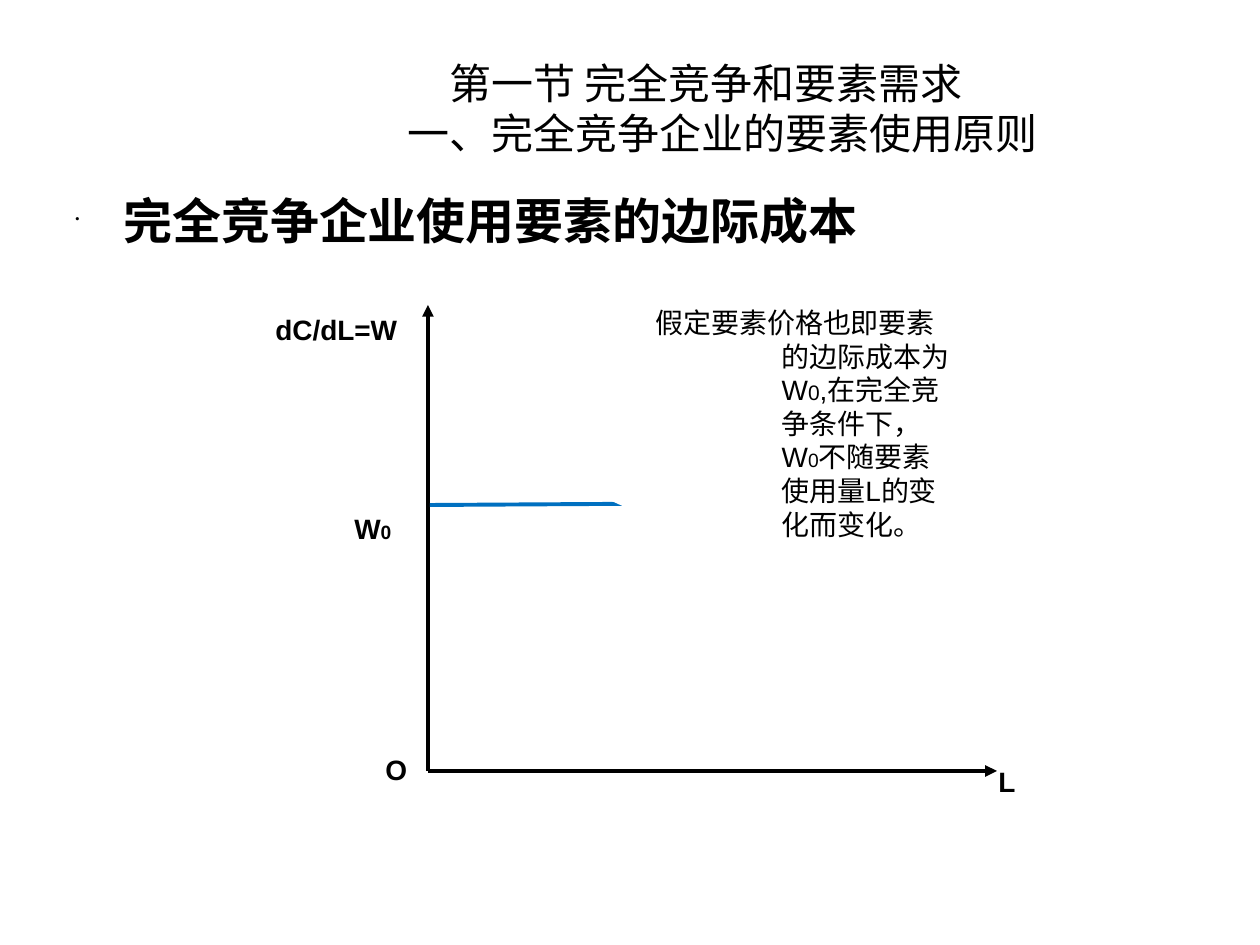
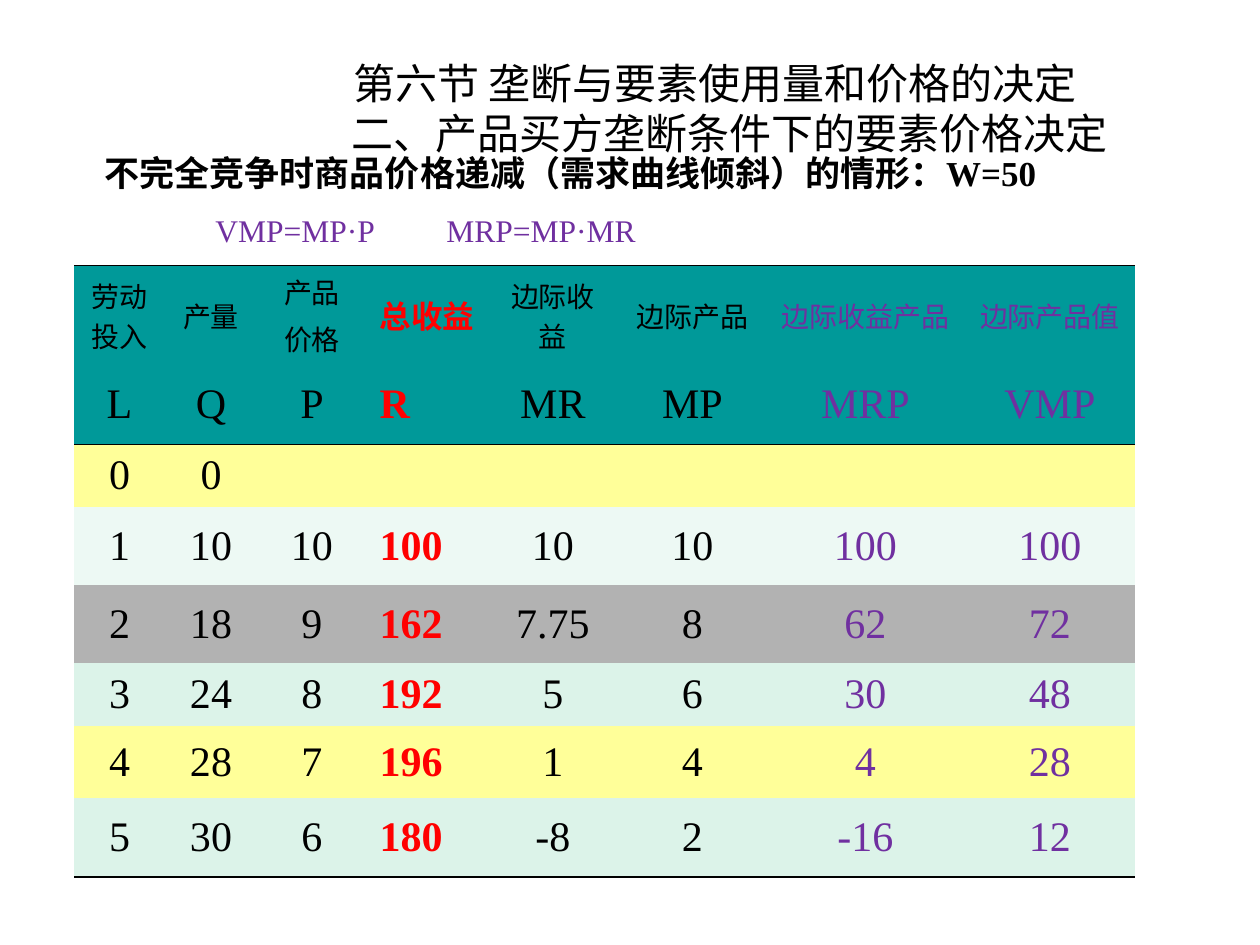
from lxml.etree import SubElement
from pptx import Presentation
from pptx.dml.color import RGBColor
from pptx.enum.shapes import MSO_CONNECTOR as CONNECTOR, MSO_SHAPE as SHAPE
from pptx.enum.text import MSO_ANCHOR as ANCHOR, PP_ALIGN as ALIGN
from pptx.oxml import parse_xml
from pptx.oxml.ns import nsdecls, qn
from pptx.util import Pt

PX = 914400 / 126
BLACK = RGBColor(0x00, 0x00, 0x00)
WHITE = RGBColor(0xFF, 0xFF, 0xFF)
BLUE = RGBColor(0x00, 0x70, 0xC0)
RED = RGBColor(0xFF, 0x00, 0x00)
PURPLE = RGBColor(0x70, 0x30, 0xA0)
TEAL = RGBColor(0x00, 0x99, 0x99)
YELLOW = RGBColor(0xFF, 0xFF, 0x99)
PALE_MINT = RGBColor(0xED, 0xF9, 0xF4)
MINT = RGBColor(0xDC, 0xF3, 0xE9)
GREY = RGBColor(0xB2, 0xB2, 0xB2)
SANS, SERIF, CJK = "Arial", "Times New Roman", "Noto Sans CJK SC"
NO_STYLE = "{2D5ABB26-0587-4C30-8999-92F81FD0307C}"


def px(*lengths):
    return [round(length * PX) for length in lengths]


def write(paragraph, runs, east_asian=None, **font_format):
    for words, size in runs:
        run = paragraph.add_run()
        run.text = words
        run.font.size = Pt(size)
        for key, value in font_format.items():
            if key == "color":
                run.font.color.rgb = value
            else:
                setattr(run.font, key, value)
        if east_asian:
            SubElement(run.font._element, qn("a:ea"), typeface=east_asian)


deck = Presentation()
deck.slide_width, deck.slide_height = px(1260, 945)
cost_slide, monopoly_slide = [deck.slides.add_slide(deck.slide_layouts[6]) for _ in range(2)]

titles = [
    (cost_slide, [("第一节 完全竞争和要素需求", 374), ("一、完全竞争企业的要素使用原则", 332)]),
    (monopoly_slide, [("第六节 垄断与要素使用量和价格的决定", 278),
                      ("二、产品买方垄断条件下的要素价格决定", 276)]),
]
for slide, lines in titles:
    title = slide.shapes.add_textbox(*px(63, 49, 1134, 118)).text_frame
    title.word_wrap = True
    title.vertical_anchor = ANCHOR.MIDDLE
    for index, (words, indent) in enumerate(lines):
        paragraph = title.add_paragraph() if index else title.paragraphs[0]
        paragraph.line_spacing = Pt(28.5)
        paragraph._p.get_or_add_pPr().set("marL", str(px(indent)[0]))
        write(paragraph, [(words, 24)], CJK, name=CJK, color=BLACK)

heading = cost_slide.shapes.add_textbox(*px(63, 185, 1134, 659)).text_frame
heading.word_wrap = True
heading_line = heading.paragraphs[0]
heading_line.line_spacing = Pt(33.5)
write(heading_line, [("完全竞争企业使用要素的边际成本", 28)], name=SANS, bold=True, color=BLACK)
bullet = heading_line._p.get_or_add_pPr()
bullet.set("marL", str(px(48)[0]))
bullet.set("indent", str(px(-48)[0]))
SubElement(SubElement(bullet, qn("a:buClr")), qn("a:srgbClr"), val=str(BLACK))
SubElement(bullet, qn("a:buSzPct"), val="25000")
SubElement(bullet, qn("a:buChar"), char="•")

for ends, color, has_arrow in [
    ((428, 771, 428, 305), BLACK, True),
    ((428, 771, 997, 771), BLACK, True),
    ((430, 505, 935, 502), BLUE, False),
]:
    line = cost_slide.shapes.add_connector(CONNECTOR.STRAIGHT, *px(*ends))
    line.line.color.rgb = color
    line.line.width = Pt(2.25)
    if has_arrow:
        SubElement(line.line._get_or_add_ln(), qn("a:tailEnd"), type="triangle")
    SubElement(line._element.spPr, qn("a:effectLst"))

labels = [
    (cost_slide, (263, 306, 200, 47), [("dC/dL=W", 16)], SANS, BLACK, True),
    (cost_slide, (373, 746, 48, 47), [("O", 16)], SANS, BLACK, True),
    (cost_slide, (986, 758, 48, 47), [("L", 16)], SANS, BLACK, True),
    (cost_slide, (342, 505, 87, 47), [("W", 16), ("0", 11)], SANS, BLACK, True),
    (monopoly_slide, (434, 205, 466, 50), [("MRP=MP·MR", 18)], SERIF, PURPLE, False),
    (monopoly_slide, (203, 205, 208, 50), [("VMP=MP·P", 18)], SERIF, PURPLE, False),
]
for slide, box, runs, face, color, bold in labels:
    label = slide.shapes.add_textbox(*px(*box)).text_frame
    label.word_wrap = True
    write(label.paragraphs[0], runs, name=face, color=color, bold=bold)

callout = cost_slide.shapes.add_shape(SHAPE.ROUNDED_RECTANGULAR_CALLOUT, *px(630, 286, 354, 268))
for index, value in enumerate((-0.64, 0.25, 0.17)):
    callout.adjustments[index] = value
callout.shadow.inherit = False
callout.fill.solid()
callout.fill.fore_color.rgb = WHITE
callout.line.fill.background()
callout.text_frame.word_wrap = True
callout.text_frame.vertical_anchor = ANCHOR.TOP
note = callout.text_frame.paragraphs[0]
note.alignment = ALIGN.LEFT
note.line_spacing = Pt(19.2)
hanging = note._p.get_or_add_pPr()
hanging.set("marL", str(px(126)[0]))
hanging.set("indent", str(px(-126)[0]))
write(note, [("假定要素价格也即要素的边际成本为W", 16), ("0", 12), (",在完全竞争条件下，W", 16),
             ("0", 11), ("不随要素使用量L的变化而变化。", 16)], name=SANS, color=BLACK)

case = monopoly_slide.shapes.add_textbox(*px(84, 145, 973, 55)).text_frame
case.word_wrap = False
case_line = case.paragraphs[0]
case_line.alignment = ALIGN.CENTER
case_line.line_spacing = Pt(24)
write(case_line, [("不完全竞争时商品价格递减（需求曲线倾斜）的情形：W=50", 20)],
      name=SERIF, bold=True, color=BLACK)

schedule = [
    ["劳动投入", "产量", "产品\n价格", "总收益", "边际收益", "边际产品", "边际收益产品", "边际产品值"],
    ["L", "Q", "P", "R", "MR", "MP", "MRP", "VMP"],
    ["0", "0", "", "", "", "", "", ""],
    ["1", "10", "10", "100", "10", "10", "100", "100"],
    ["2", "18", "9", "162", "7.75", "8", "62", "72"],
    ["3", "24", "8", "192", "5", "6", "30", "48"],
    ["4", "28", "7", "196", "1", "4", "4", "28"],
    ["5", "30", "6", "180", "-8", "2", "-16", "12"],
]
row_fills = [TEAL, TEAL, YELLOW, PALE_MINT, GREY, MINT, YELLOW, MINT]
row_heights = [100, 79, 63, 78, 78, 63, 72, 79]
column_widths = [91, 92, 110, 120, 132, 147, 199, 170]
column_colors = [BLACK] * 3 + [RED] + [BLACK] * 2 + [PURPLE] * 2
row_rules = {0: ("lnT", 0.45), 1: ("lnB", 0.45), 7: ("lnB", 1.08)}
REVENUE = 3

table = monopoly_slide.shapes.add_table(
    8, 8, *px(74, 265, sum(column_widths), sum(row_heights))).table
table._tbl.tblPr.find(qn("a:tableStyleId")).text = NO_STYLE
for column, width in zip(table.columns, px(*column_widths)):
    column.width = width
for row, height in zip(table.rows, px(*row_heights)):
    row.height = height

for r, values in enumerate(schedule):
    for c, value in enumerate(values):
        cell = table.cell(r, c)
        cell.vertical_anchor = ANCHOR.MIDDLE
        cell.fill.solid()
        cell.fill.fore_color.rgb = row_fills[r]
        is_revenue = c == REVENUE
        size = 24 if r else 18 if is_revenue else 16
        for index, words in enumerate(value.split("\n") if value else []):
            paragraph = cell.text_frame.add_paragraph() if index else cell.text_frame.paragraphs[0]
            paragraph.alignment = ALIGN.LEFT if is_revenue else ALIGN.CENTER
            paragraph.space_before = Pt(0 if is_revenue else 6 if r else 4)
            write(paragraph, [(words, size)], CJK, name=SERIF, bold=is_revenue,
                  color=column_colors[c])
        if r in row_rules:
            edge, width = row_rules[r]
            cell._tc.get_or_add_tcPr().insert(0, parse_xml(
                f'<a:{edge} {nsdecls("a")} w="{Pt(width)}"><a:solidFill>'
                f'<a:srgbClr val="{BLACK}"/></a:solidFill></a:{edge}>'))

deck.save("out.pptx")
